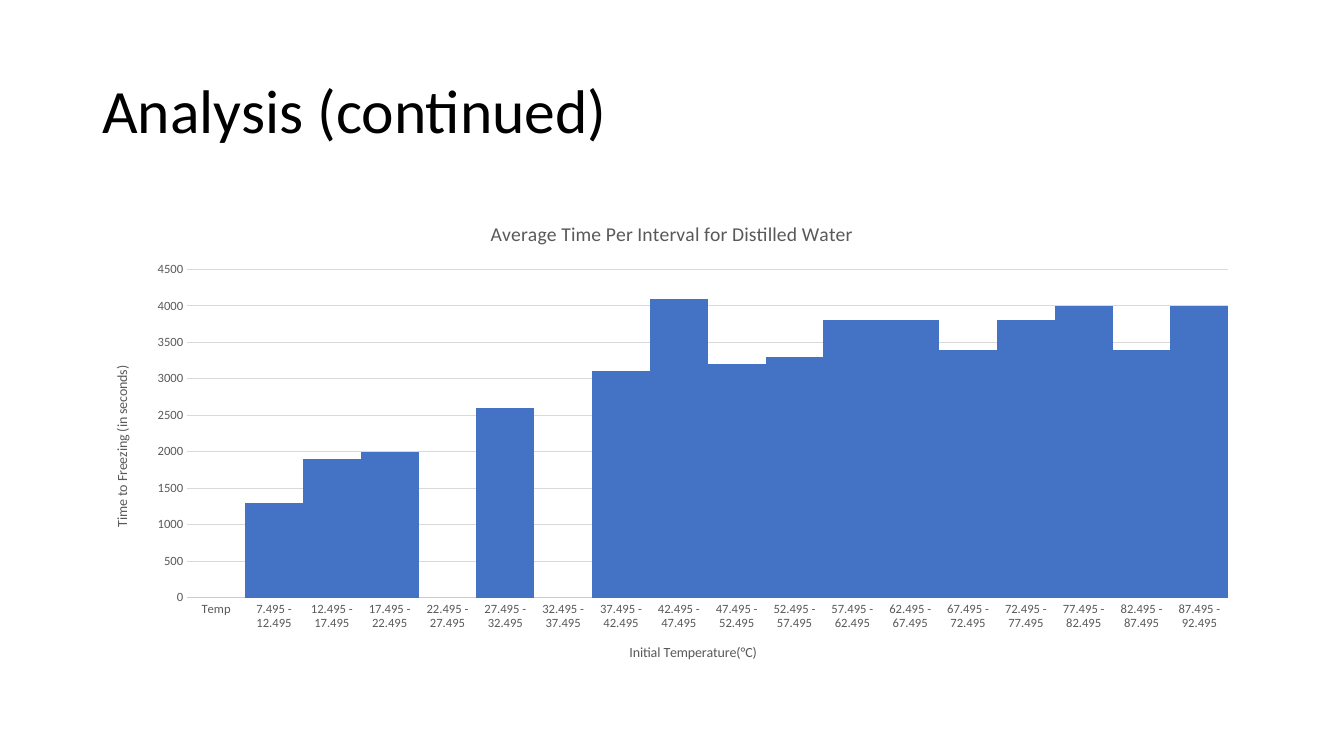
from pptx import Presentation
from pptx.chart.data import CategoryChartData
from pptx.dml.color import RGBColor
from pptx.enum.chart import XL_CHART_TYPE, XL_TICK_MARK
from pptx.enum.text import MSO_ANCHOR
from pptx.util import Cm, Pt

FACE = "Calibri"
GREY = "595959"
RULE = "D9D9D9"
TIMES = [0, 1300, 1900, 2000, 0, 2600, 0, 3100, 4100,
         3200, 3300, 3800, 3800, 3400, 3800, 4000, 3400, 4000]


def paint(item, tint):
    """Give a font, line or fill a solid colour."""
    fill = getattr(item, "fill", item)
    fill.solid()
    fill.fore_color.rgb = RGBColor.from_string(tint)


def assign(item, values):
    """Set each named attribute of an item."""
    for name, value in values.items():
        setattr(item, name, value)


def style(font, size, tint=GREY):
    """Format a font."""
    assign(font, {"name": FACE, "size": Pt(size), "bold": False})
    paint(font, tint)


def rule(line):
    """Format a thin grey chart line."""
    paint(line, RULE)
    line.width = Pt(0.75)


def label(owner, text, size):
    """Title a chart or an axis."""
    owner.has_title = True
    frame = getattr(owner, "chart_title", None) or owner.axis_title
    frame.text_frame.text = text
    style(frame.text_frame.paragraphs[0].runs[0].font, size)


def heading(slide, text):
    """Add the slide heading."""
    box = slide.shapes.add_textbox(Cm(2.33), Cm(1.01), Cm(29.21), Cm(3.68))
    frame = box.text_frame
    assign(frame, {"word_wrap": True, "vertical_anchor": MSO_ANCHOR.MIDDLE})
    para = frame.paragraphs[0]
    assign(para, {"text": text, "line_spacing": 0.9})
    style(para.runs[0].font, 44, "000000")


def setup(axis, text):
    """Format an axis and its title."""
    assign(axis, {"major_tick_mark": XL_TICK_MARK.NONE,
                  "minor_tick_mark": XL_TICK_MARK.NONE})
    style(axis.tick_labels.font, 9)
    label(axis, text, 10)


def columns(slide):
    """Add the chart of freezing times."""
    data = CategoryChartData()
    edges = [7.495 + 5 * i for i in range(len(TIMES))]
    spans = [f"{low:.3f} - {high:.3f}" for low, high in zip(edges, edges[1:])]
    data.categories = ["Temp"] + spans
    data.add_series("Series 1", TIMES)
    chart = slide.shapes.add_chart(
        XL_CHART_TYPE.COLUMN_CLUSTERED,
        Cm(2.33), Cm(5.08), Cm(29.21), Cm(12.09), data).chart
    style(chart.font, 10, "000000")
    chart.has_legend = False
    label(chart, "Average Time Per Interval for Distilled Water", 14)

    plot = chart.plots[0]
    assign(plot, {"gap_width": 0, "overlap": -27, "vary_by_categories": False})
    bars = plot.series[0]
    bars.invert_if_negative = False
    paint(bars.format.fill, "4472C4")

    setup(chart.category_axis, "Initial Temperature(°C)")
    rule(chart.category_axis.format.line)
    axis = chart.value_axis
    setup(axis, "Time to Freezing (in seconds)")
    assign(axis, {"minimum_scale": 0, "maximum_scale": 4500,
                  "major_unit": 500, "has_major_gridlines": True})
    axis.format.line.fill.background()
    rule(axis.major_gridlines.format.line)


def main():
    """Build and save the slide."""
    deck = Presentation()
    assign(deck, {"slide_width": Cm(33.87), "slide_height": Cm(19.05)})
    slide = deck.slides.add_slide(deck.slide_layouts[6])
    heading(slide, "Analysis (continued)")
    columns(slide)
    deck.save("out.pptx")


if __name__ == "__main__":
    main()
